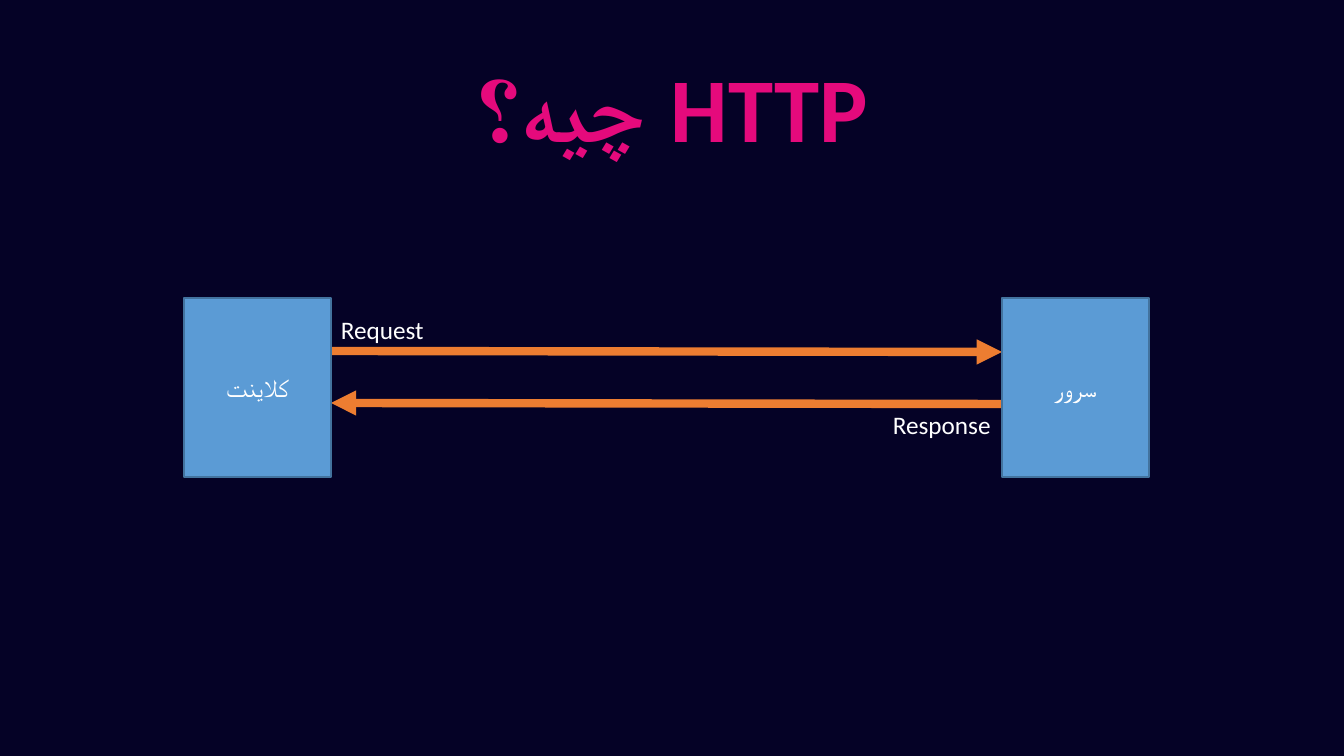
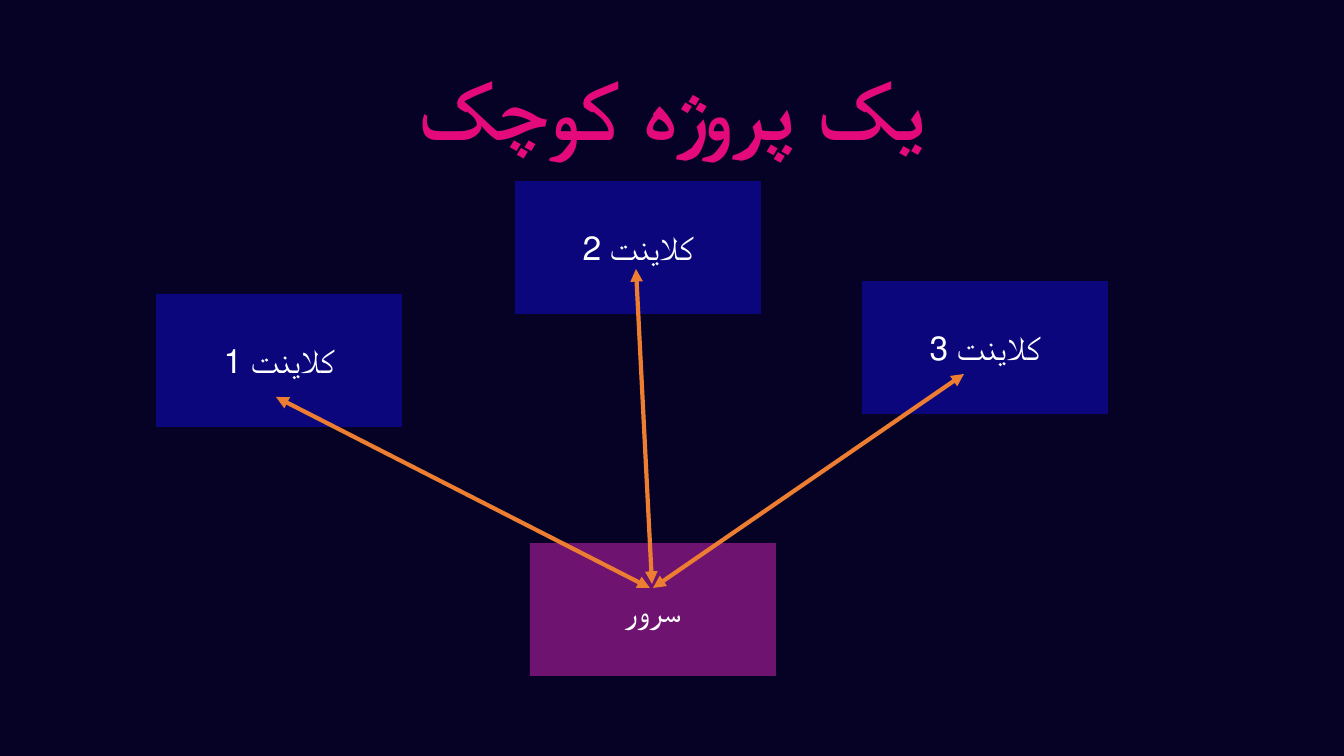
from lxml import etree
from pptx import Presentation, util as u
from pptx.dml.color import RGBColor
from pptx.enum import shapes, text
from pptx.oxml import ns

PX = 12192000 / 1344  # EMU in one px
COLORS = {
    "background": "050226",
    "title": "E50A7C",
    "text": "FFFFFF",
    "arrow": "ED7D31",
    "node": "5B9BD5",
    "node_line": "43739E",
    "client": "0C067C",
    "server": "6F1371",
}
FONT = "Calibri"
TITLE_BOX = (92, 40, 1160, 146)
CENTER = {"alignment": text.PP_ALIGN.CENTER}


def write(shape, words, size, color="text", bold=False, paragraph_format={}, wrap=True):
    """Put one formatted, vertically centred paragraph into a shape."""
    frame = shape.text_frame
    frame.word_wrap = wrap
    frame.vertical_anchor = text.MSO_ANCHOR.MIDDLE
    paragraph = frame.paragraphs[0]
    for name, value in paragraph_format.items():
        setattr(paragraph, name, value)
    run = paragraph.add_run()
    run.text = words
    for name, value in {"name": FONT, "size": u.Pt(size), "bold": bold}.items():
        setattr(run.font, name, value)
    run.font.color.rgb = RGBColor.from_string(COLORS[color])
    return paragraph


def add_arrow(slide, points, width, ends):
    """Draw a straight line; ends lists headEnd (start) and tailEnd (finish)."""
    arrow = slide.shapes.add_connector(
        shapes.MSO_CONNECTOR.STRAIGHT, *[round(point * PX) for point in points])
    arrow.line.width = u.Pt(width)
    arrow.line.color.rgb = RGBColor.from_string(COLORS["arrow"])
    line = arrow.line._get_or_add_ln()
    for end in ends:
        etree.SubElement(line, ns.qn("a:" + end), type="triangle")
    etree.SubElement(arrow._element.spPr, ns.qn("a:effectLst"))


presentation = Presentation()
presentation.slide_width = round(1344 * PX)
presentation.slide_height = round(756 * PX)

# Background and title of every slide
slides = []
for title, size in [("HTTP چیه؟", 65), ("یک پروژه کوچک", 60)]:
    slide = presentation.slides.add_slide(presentation.slide_layouts[6])
    fill = slide.background.fill
    fill.solid()
    fill.fore_color.rgb = RGBColor.from_string(COLORS["background"])
    title_box = slide.shapes.add_textbox(*[round(value * PX) for value in TITLE_BOX])
    paragraph = write(title_box, title, size, "title", True,
                      {**CENTER, "line_spacing": 0.9})
    paragraph._p.get_or_add_pPr().set("rtl", "1")
    slides.append(slide)
http_slide, project_slide = slides

# Request and response arrows lie behind the nodes
for points in [(331, 351, 1002, 352), (1002, 404, 331, 403)]:
    add_arrow(http_slide, points, 6, ["tailEnd"])

# Nodes of both slides: slide, words, box, fill, outline, text size
nodes = [
    (http_slide, "کلاینت", (184, 298, 147, 179), "node", "node_line", 18),
    (http_slide, "سرور", (1002, 298, 147, 179), "node", "node_line", 18),
]
for words, left, top, fill in [
    ("کلاینت 1", 156, 294, "client"),
    ("سرور", 530, 543, "server"),
    ("کلاینت 2", 515, 181, "client"),
    ("کلاینت 3", 862, 281, "client"),
]:
    nodes.append((project_slide, words, (left, top, 246, 133), fill, None, 24))

for slide, words, box, fill, outline, size in nodes:
    node = slide.shapes.add_shape(
        shapes.MSO_SHAPE.RECTANGLE, *[round(value * PX) for value in box])
    node.shadow.inherit = False
    node.fill.solid()
    node.fill.fore_color.rgb = RGBColor.from_string(COLORS[fill])
    if outline:
        node.line.width = u.Pt(1)
        node.line.color.rgb = RGBColor.from_string(COLORS[outline])
    else:
        node.line.fill.background()
    write(node, words, size, paragraph_format=CENTER)

for words, box in [("Request", (331, 309, 104, 40)), ("Response", (883, 404, 119, 40))]:
    label = http_slide.shapes.add_textbox(*[round(value * PX) for value in box])
    write(label, words, 18, wrap=False)

# Two-way arrows lie above the nodes
for points in [(636, 269, 652, 584), (650, 588, 276, 397), (964, 374, 653, 588)]:
    add_arrow(project_slide, points, 3, ["headEnd", "tailEnd"])

presentation.save("out.pptx")
